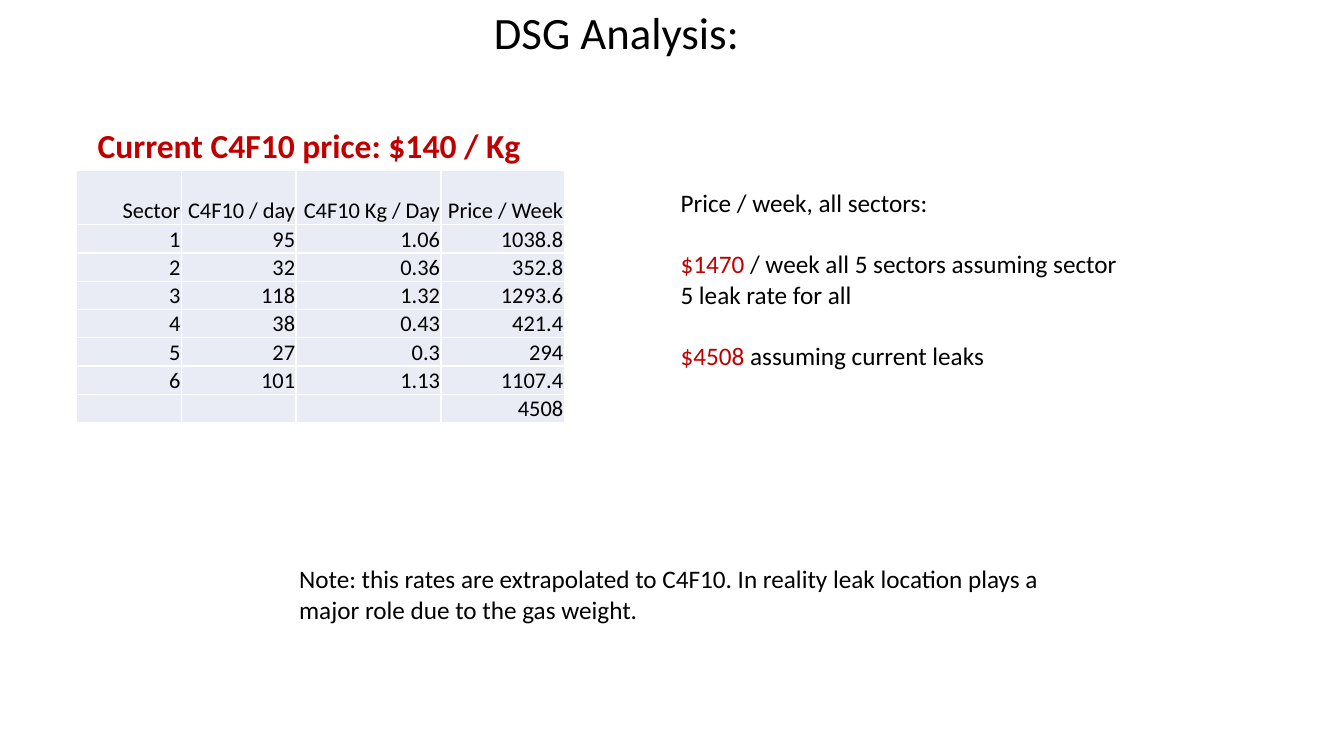
from pptx import Presentation
from pptx.dml.color import RGBColor
from pptx.enum.text import MSO_ANCHOR as Anchor, MSO_AUTO_SIZE as AutoSize, PP_ALIGN as Align
from pptx.util import Pt

FONT = "Calibri"
BLACK = RGBColor(0x00, 0x00, 0x00)
RED = RGBColor(0xC0, 0x00, 0x00)
PALE_BLUE = RGBColor(0xE9, 0xEB, 0xF5)

COLUMN_WIDTHS = [75, 82, 103.5, 88]
HEADER_HEIGHT = 38.9
ROW_HEIGHT = 20.2
LEAK_ROWS = [
    ["Sector", "C4F10 / day", "C4F10 Kg / Day", "Price / Week"],
    ["1", "95", "1.06", "1038.8"],
    ["2", "32", "0.36", "352.8"],
    ["3", "118", "1.32", "1293.6"],
    ["4", "38", "0.43", "421.4"],
    ["5", "27", "0.3", "294"],
    ["6", "101", "1.13", "1107.4"],
    ["", "", "", "4508"],
]
WEEKLY_PRICES = [
    [("Price / week, all sectors:", BLACK)],
    [("$1470 ", RED), ("/ week all 5 sectors assuming sector 5 leak rate for all", BLACK)],
    [("$4508 ", RED), ("assuming current leaks", BLACK)],
]
NOTE = ("Note: this rates are extrapolated to C4F10. "
        "In reality leak location plays a major role due to the gas weight.")


def format_paragraph(para, size, color=BLACK, bold=False, align=Align.LEFT):
    para.alignment = align
    para.font.name = FONT
    para.font.size = Pt(size)
    para.font.bold = bold
    para.font.color.rgb = color


def add_title(page, text, left, top, width, height):
    title = page.shapes.title
    title.left, title.top, title.width, title.height = map(Pt, (left, top, width, height))
    frame = title.text_frame
    frame.text = text
    frame.word_wrap = False
    frame.auto_size = AutoSize.SHAPE_TO_FIT_TEXT
    frame.vertical_anchor = Anchor.TOP
    format_paragraph(frame.paragraphs[0], 32)


def add_text(page, lines, left, top, width, height, size=18, bold=False, wrap=True, gap=0):
    box = page.shapes.add_textbox(Pt(left), Pt(top), Pt(width), Pt(height))
    frame = box.text_frame
    frame.word_wrap = wrap
    frame.auto_size = AutoSize.SHAPE_TO_FIT_TEXT
    for index, spans in enumerate(lines):
        para = frame.add_paragraph() if index else frame.paragraphs[0]
        format_paragraph(para, size, spans[0][1], bold)
        if index:
            para.space_before = Pt(gap)
        for text, color in spans:
            span = para.add_run()
            span.text = text
            span.font.color.rgb = color


def fill_cell(cell, text):
    cell.text = text
    cell.fill.solid()
    cell.fill.fore_color.rgb = PALE_BLUE
    cell.vertical_anchor = Anchor.BOTTOM
    cell.margin_left = cell.margin_right = cell.margin_top = Pt(0.7)
    cell.margin_bottom = Pt(0)
    format_paragraph(cell.text_frame.paragraphs[0], 16, align=Align.RIGHT)


def add_leak_table(page, left, top):
    row_heights = [HEADER_HEIGHT] + [ROW_HEIGHT] * (len(LEAK_ROWS) - 1)
    frame = page.shapes.add_table(len(LEAK_ROWS), len(COLUMN_WIDTHS), Pt(left), Pt(top),
                                  Pt(sum(COLUMN_WIDTHS)), Pt(sum(row_heights)))
    table = frame.table
    table.first_row = False
    table.horz_banding = False
    for column, width in zip(table.columns, COLUMN_WIDTHS):
        column.width = Pt(width)
    for row, height, values in zip(table.rows, row_heights, LEAK_ROWS):
        row.height = Pt(height)
        for cell, value in zip(row.cells, values):
            fill_cell(cell, value)


def main():
    deck = Presentation()
    deck.slide_width, deck.slide_height = Pt(960), Pt(540)
    page = deck.slides.add_slide(deck.slide_layouts[5])
    add_title(page, "DSG Analysis:", 345.6, 0, 191.5, 46)
    add_text(page, WEEKLY_PRICES, 479, 130.5, 336, 138, gap=22)
    add_text(page, [[("Current C4F10 price: $140 / Kg", RED)]], 62.6, 85.7, 320, 36,
             size=24, bold=True, wrap=False)
    add_text(page, [[(NOTE, BLACK)]], 206.6, 399, 554.5, 51)
    add_leak_table(page, 54.5, 121.7)
    deck.save("out.pptx")


main()
